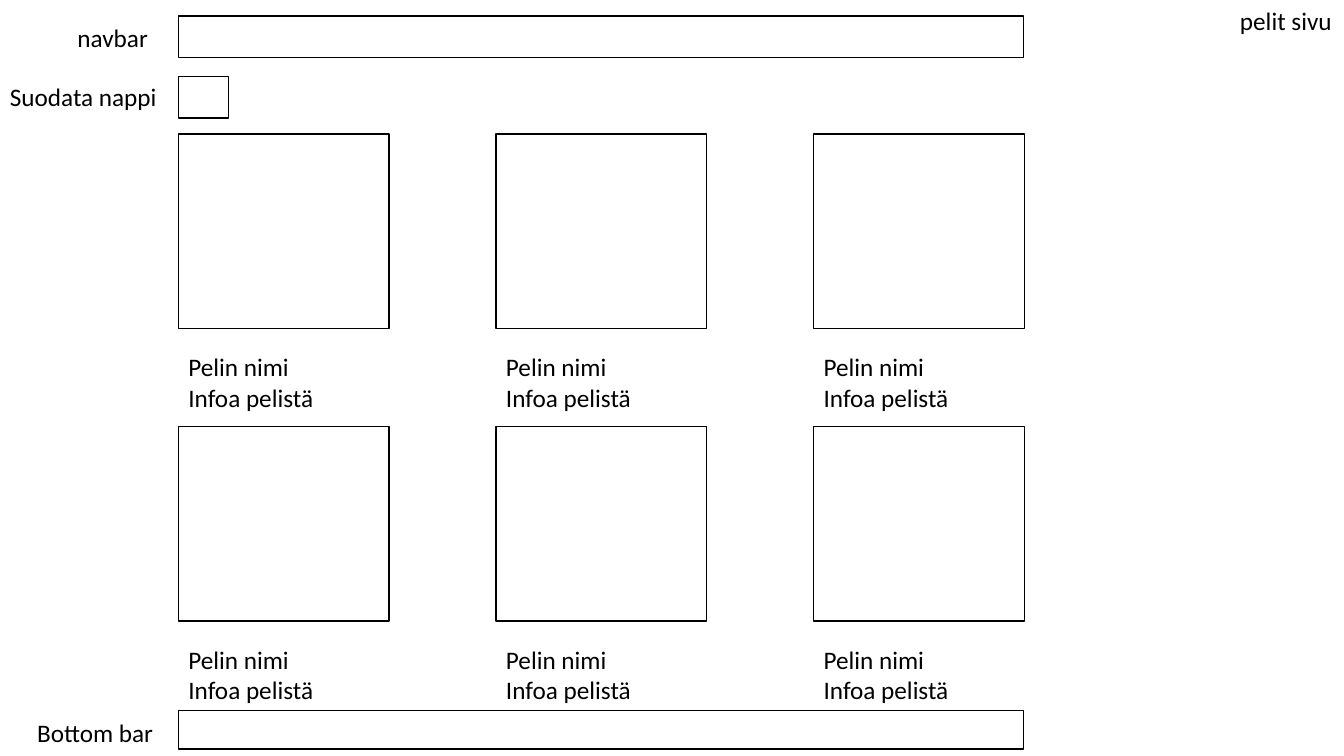
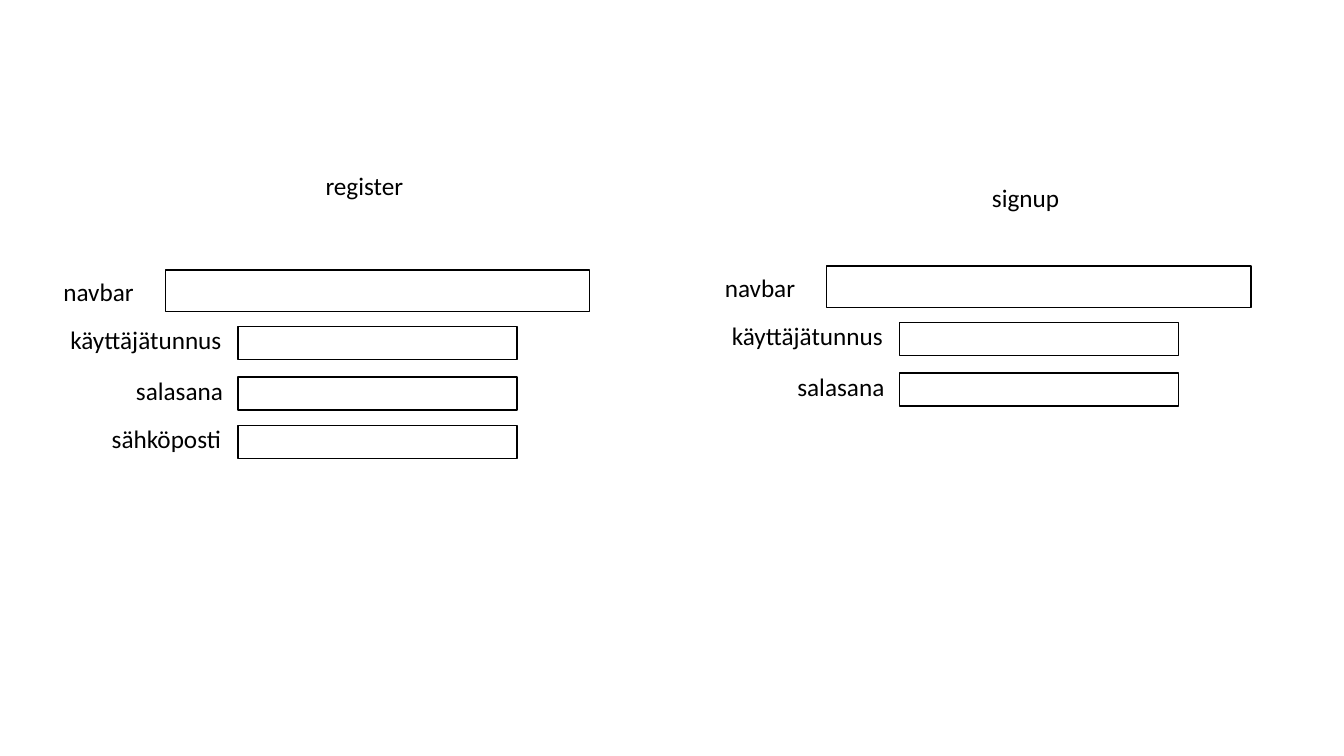
from pptx import Presentation
from pptx.dml.color import RGBColor
from pptx.enum.shapes import MSO_SHAPE
from pptx.enum.text import MSO_AUTO_SIZE
from pptx.util import Inches, Pt

# Shared style
INK, PAPER = "000000", "FFFFFF"
FONT = {"name": "Calibri", "size": Pt(18)}
FRAME = {"word_wrap": True, "auto_size": MSO_AUTO_SIZE.SHAPE_TO_FIT_TEXT}
BAR, ROW = 0.41, 0.4

deck = Presentation()
deck.slide_width, deck.slide_height = Inches(13.33), Inches(7.5)
blank = deck.slide_layouts[6]


def box(page, *area):
    rect = page.shapes.add_shape(MSO_SHAPE.RECTANGLE, *map(Inches, area))
    rect.shadow.inherit = False
    rect.fill.solid()
    rect.fill.fore_color.rgb = RGBColor.from_string(PAPER)
    rect.line.color.rgb = RGBColor.from_string(INK)
    rect.line.width = Pt(1)


def label(page, lines, *area, wrap=True):
    frame = page.shapes.add_textbox(*map(Inches, area)).text_frame
    for key, value in {**FRAME, "word_wrap": wrap}.items():
        setattr(frame, key, value)
    frame.text = lines
    for para in frame.paragraphs:
        for key, value in FONT.items():
            setattr(para.font, key, value)
        para.font.color.rgb = RGBColor.from_string(INK)


# Games page: title, bars and filter button
games = deck.slides.add_slide(blank)
left, wide = 1.77, 8.38
label(games, "pelit sivu", 12.2, 0, 1.32, ROW)
for top, width, high in [(0.16, wide, BAR), (0.76, 0.5, BAR), (7.05, wide, 0.38)]:
    box(games, left, top, width, high)
for text, x, y, width in [("navbar", 0.67, 0.17, 0.91),
                          ("Suodata nappi", 0, 0.76, 1.67),
                          ("Bottom bar", 0.27, 7.07, 1.37)]:
    label(games, text, x, y, width, ROW, wrap=False)

# Game cards: two rows of three
card, high, step = 2.09, 1.93, 3.15
for top in (1.33, 4.23):
    for col in range(3):
        x = left + col * step
        box(games, x, top, card, high)
        label(games, "Pelin nimi\nInfoa pelistä", x, top + 2.11, card, 0.71)

# Account page: two forms, fields set from the navbar's corner
forms = deck.slides.add_slide(blank)
fields = [("käyttäjätunnus", -1.04, 0.56, 1.74),
          ("salasana", -0.39, 1.06, 1.74),
          ("sähköposti", -0.63, 1.54, 1.41)]
for title, x, y, head, rise, count in [("register", 1.64, 2.68, 3.13, 1.64, 3),
                                       ("signup", 8.2, 2.64, 9.74, 1.76, 2)]:
    label(forms, title, head, rise, 2.21, ROW)
    box(forms, x, y, 4.21, BAR)
    label(forms, "navbar", x - 1.11, y + 0.01, 0.91, ROW, wrap=False)
    for text, shift, drop, width in fields[:count]:
        box(forms, x + 0.72, y + drop, 2.77, 0.33)
        label(forms, text, x + shift, y + drop - 0.07, width, ROW)

deck.save("out.pptx")
